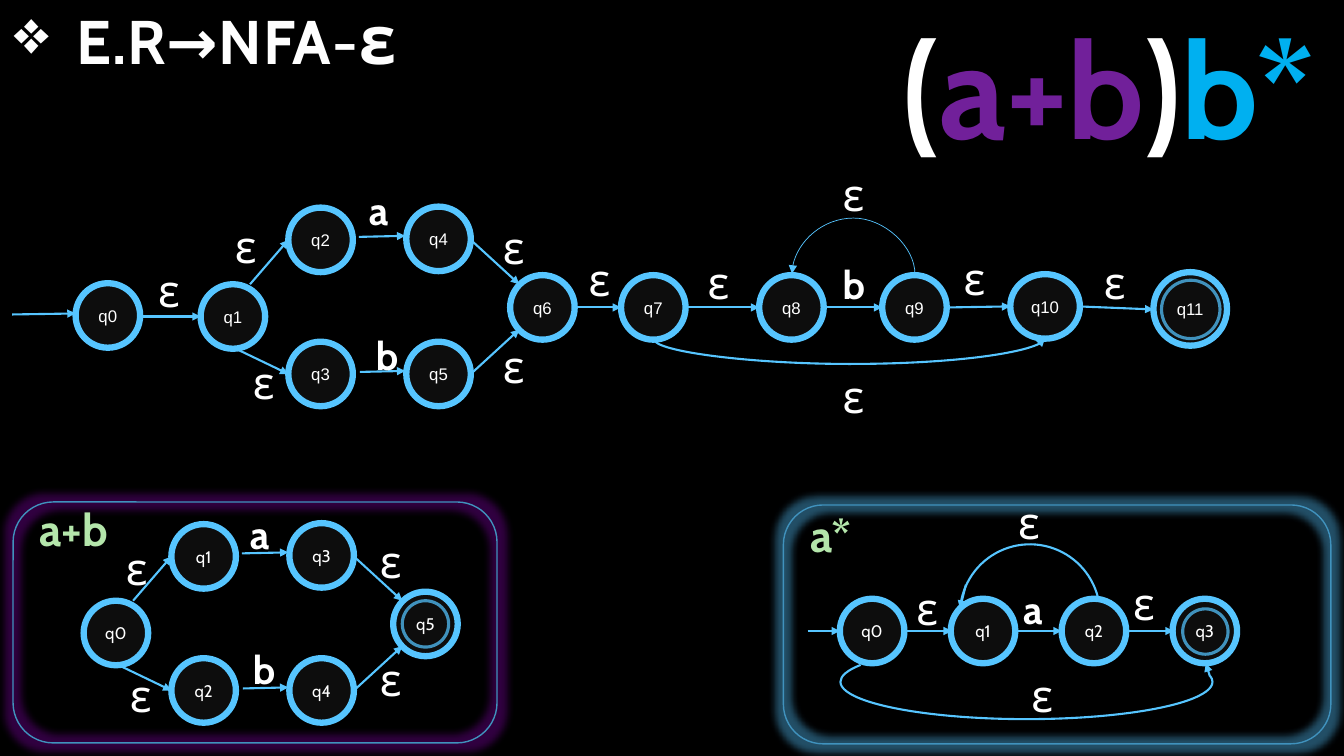
from lxml.etree import SubElement
from pptx import Presentation
from pptx.dml.color import RGBColor
from pptx.enum.shapes import MSO_CONNECTOR, MSO_SHAPE
from pptx.enum.text import MSO_ANCHOR, PP_ALIGN
from pptx.oxml import parse_xml
from pptx.oxml.ns import nsdecls, qn
from pptx.util import Inches, Pt

COLORS = {
    "black": "000000", "state": "0D0D0D", "sky": "56C5FF", "steel": "4092BD",
    "white": "FFFFFF", "title": "FEFEFE", "mint": "B4E6AB", "green": "4BB836",
    "purple": "71209A", "blue": "00B0F0", "violet": "7A00A0",
}

# left, top, width, height, glow
PANELS = [(0.13, 4.98, 4.8, 2.39, "violet"), (7.77, 5.01, 5.43, 2.37, "sky")]

# The a+b automaton appears twice: names, font, shift right, shift down
UNIONS = [
    (("q1", "q2", "q3", "q4", "q5", "q6"), "Arial", 0, 0),
    (("q0", "q1", "q2", "q3", "q4", "q5"), "Cabin", -1.16, 3.14),
]
UNION_PLACES = [(1.99, 2.82), (2.86, 2.06), (2.86, 3.39),
                (4.03, 2.05), (4.03, 3.39), (5.06, 2.73)]
UNION_ARROWS = [
    (3.56, 2.35, 4.02, 2.34), (3.57, 3.69, 4.02, 3.68),
    (2.48, 2.82, 2.86, 2.38), (2.36, 3.47, 2.86, 3.71),
    (4.67, 2.38, 5.15, 2.82), (4.67, 3.71, 5.15, 3.27),
]

# name, left, top, width, height, font
STATES = [
    ("q0", 0.75, 2.81, 0.64, 0.64, "Arial"),
    ("q7", 6.16, 2.73, 0.64, 0.64, "Arial"),
    ("q8", 7.53, 2.73, 0.64, 0.64, "Arial"),
    ("q9", 8.75, 2.73, 0.64, 0.64, "Arial"),
    ("q10", 10.02, 2.72, 0.69, 0.64, "Arial"),
    ("q11", 11.44, 2.7, 0.73, 0.73, "Arial"),
] + [(f"q{i}", 8.33 + 1.1 * i, 5.94, 0.64, 0.64, "Cabin") for i in range(4)]

# left, top, diameter of the inner ring of each final state
RINGS = [(11.52, 2.78, 0.58), (11.73, 6.04, 0.45), (3.99, 5.96, 0.46)]

ARROWS = [
    (0.12, 3.12, 0.75, 3.11), (1.37, 3.14, 1.99, 3.14), (5.7, 3.05, 6.16, 3.05),
    (6.8, 3.05, 7.53, 3.05), (8.17, 3.05, 8.75, 3.05), (9.4, 3.05, 10.02, 3.04),
    (10.7, 3.04, 11.44, 3.07),
    (8.01, 6.26, 8.33, 6.26), (8.97, 6.26, 9.44, 6.26), (10.07, 6.26, 10.53, 6.26),
    (11.18, 6.26, 11.64, 6.26), (9.58, 5.8, 9.52, 6.04), (12, 6.71, 11.96, 6.58),
]

# unrotated start and end, rotation, bend, line width
CURVES = [
    ((8.43, 5.3, 8.42, 1.42), 90, -25, 1.5),
    ((8.46, 3.33, 8.47, 2.11), 270, 57, 0.5),
]

# left, top, width, height, rotation, start and end adjustments
ARCS = [
    (9.52, 5.4, 1.39, 1.39, 274.7, 162, 42.12),
    (9.81, 4.92, 0.74, 3.69, 90, 160.87, 57.5),
]

# box width: symbol -> places
LABELS = {
    0.35: {
        "ε": [(4.89, 2.13), (4.89, 3.31), (2.41, 3.47), (2.23, 2.12), (10, 4.86),
              (1.47, 2.56), (3.67, 5.25), (3.67, 6.42), (1.19, 6.58), (1.15, 5.32)],
        "a": [(3.56, 1.8), (2.38, 5.01)],
        "b": [(3.63, 3.24), (2.41, 6.35)],
    },
    0.41: {
        "ε": [(10.13, 6.58), (8.99, 5.71), (11.14, 5.66), (10.85, 2.48), (6.92, 2.48),
              (9.46, 2.44), (5.74, 2.45), (8.26, 3.61), (8.26, 1.6)],
        "a": [(10.05, 5.76)],
        "b": [(8.26, 2.53)],
    },
}
LABEL_STYLES = {"ε": (0.64, 32, False), "a": (0.57, 28, True), "b": (0.57, 28, True)}

HEADINGS = [("a+b", 0.29, 4.93, 0.92), ("a*", 7.94, 4.99, 0.67)]
EXPRESSION = [("(", "white"), ("a+b", "purple"), (")", "white"), ("b*", "blue")]
TITLE = [("E.R→NFA-", 44), ("ε", 48)]


def rgb(name):
    return RGBColor.from_string(COLORS[name])


def add_span(para, text, size, color="white", bold=False, face="Cabin"):
    span = para.add_run()
    span.text = text
    for key, value in {"size": Pt(size), "bold": bold, "name": face}.items():
        setattr(span.font, key, value)
    span.font.color.rgb = rgb(color)
    return span


def outline_text(span, color, width):
    span.font._element.insert(0, parse_xml(
        f'<a:ln {nsdecls("a")} w="{Pt(width)}"><a:solidFill>'
        f'<a:srgbClr val="{COLORS[color]}"/></a:solidFill></a:ln>'))


def add_box(left, top, width, height, wrap=True):
    box = page.shapes.add_textbox(*map(Inches, (left, top, width, height)))
    box.text_frame.word_wrap = wrap
    return box.text_frame


def add_outline(kind, left, top, width, height, color, weight):
    """Add an unfilled preset shape without shadow."""
    shape = page.shapes.add_shape(kind, *map(Inches, (left, top, width, height)))
    shape.shadow.inherit = False
    shape.fill.background()
    shape.line.color.rgb = rgb(color)
    shape.line.width = Pt(weight)
    return shape


def add_state(name, left, top, width, height, face):
    state = add_outline(MSO_SHAPE.OVAL, left, top, width, height, "sky", 4.5)
    state.fill.solid()
    state.fill.fore_color.rgb = rgb("state")
    frame = state.text_frame
    frame.word_wrap = False
    frame.vertical_anchor = MSO_ANCHOR.MIDDLE
    para = frame.paragraphs[0]
    para.alignment = PP_ALIGN.CENTER
    add_span(para, name, 12, face=face)


def add_arrow(ends, kind=MSO_CONNECTOR.STRAIGHT, weight=1.5):
    arrow = page.shapes.add_connector(kind, *map(Inches, ends))
    arrow.line.color.rgb = rgb("sky")
    arrow.line.width = Pt(weight)
    SubElement(arrow.line._get_or_add_ln(), qn("a:tailEnd"), type="triangle")
    SubElement(arrow._element.spPr, qn("a:effectLst"))
    return arrow


deck = Presentation()
deck.slide_width, deck.slide_height = Inches(13.33), Inches(7.5)
page = deck.slides.add_slide(deck.slide_layouts[6])
page.background.fill.solid()
page.background.fill.fore_color.rgb = rgb("black")

for *place, glow in PANELS:
    panel = add_outline(MSO_SHAPE.ROUNDED_RECTANGLE, *place, "steel", 1)
    panel._element.spPr.find(qn("a:effectLst")).append(parse_xml(
        f'<a:glow {nsdecls("a")} rad="{Pt(11)}"><a:srgbClr val="{COLORS[glow]}">'
        '<a:alpha val="40000"/></a:srgbClr></a:glow>'))

for names, face, right, down in UNIONS:
    for name, (left, top) in zip(names, UNION_PLACES):
        add_state(name, left + right, top + down, 0.64, 0.64, face)
    for x1, y1, x2, y2 in UNION_ARROWS:
        add_arrow((x1 + right, y1 + down, x2 + right, y2 + down))
for state in STATES:
    add_state(*state)
for left, top, diameter in RINGS:
    add_outline(MSO_SHAPE.OVAL, left, top, diameter, diameter, "steel", 2.25)

for ends in ARROWS:
    add_arrow(ends)
for ends, rotation, bend, weight in CURVES:
    properties = add_arrow(ends, MSO_CONNECTOR.CURVE, weight)._element.spPr
    properties.find(qn("a:xfrm")).set("rot", str(rotation * 60000))
    guides = properties.find(qn("a:prstGeom")).find(qn("a:avLst"))
    SubElement(guides, qn("a:gd"), name="adj1", fmla=f"val {bend * 100000}")
for *place, rotation, start, end in ARCS:
    arc = add_outline(MSO_SHAPE.ARC, *place, "sky", 1.5)
    arc.rotation = rotation
    arc.adjustments[0], arc.adjustments[1] = start, end

for width, symbols in LABELS.items():
    for symbol, places in symbols.items():
        height, size, bold = LABEL_STYLES[symbol]
        for left, top in places:
            frame = add_box(left, top, width, height)
            add_span(frame.paragraphs[0], symbol, size, bold=bold)
for text, left, top, width in HEADINGS:
    para = add_box(left, top, width, 0.64, wrap=False).paragraphs[0]
    outline_text(add_span(para, text, 32, "mint", True), "green", 1.75)

expression = add_box(8.85, 0, 4.61, 1.72, wrap=False).paragraphs[0]
for text, color in EXPRESSION:
    add_span(expression, text, 96, color, True)

frame = add_box(0.04, 0.02, 5.6, 0.81)
frame.vertical_anchor = MSO_ANCHOR.BOTTOM
title = frame.paragraphs[0]
layout = title._element.get_or_add_pPr()
layout.set("marL", str(Inches(0.62)))
layout.set("indent", str(Inches(-0.62)))
SubElement(layout, qn("a:buChar"), char="❖")
title.line_spacing = 0.9
for text, size in TITLE:
    span = add_span(title, text, size, "title", True)
    span.font._element.set("spc", "50")
    outline_text(span, "sky", 0.75)
    span.font._element.insert(2, parse_xml(
        f'<a:effectLst {nsdecls("a")}><a:outerShdw dist="{Pt(3)}" dir="2700000">'
        f'<a:srgbClr val="{COLORS["steel"]}"/></a:outerShdw></a:effectLst>'))

deck.save("out.pptx")
